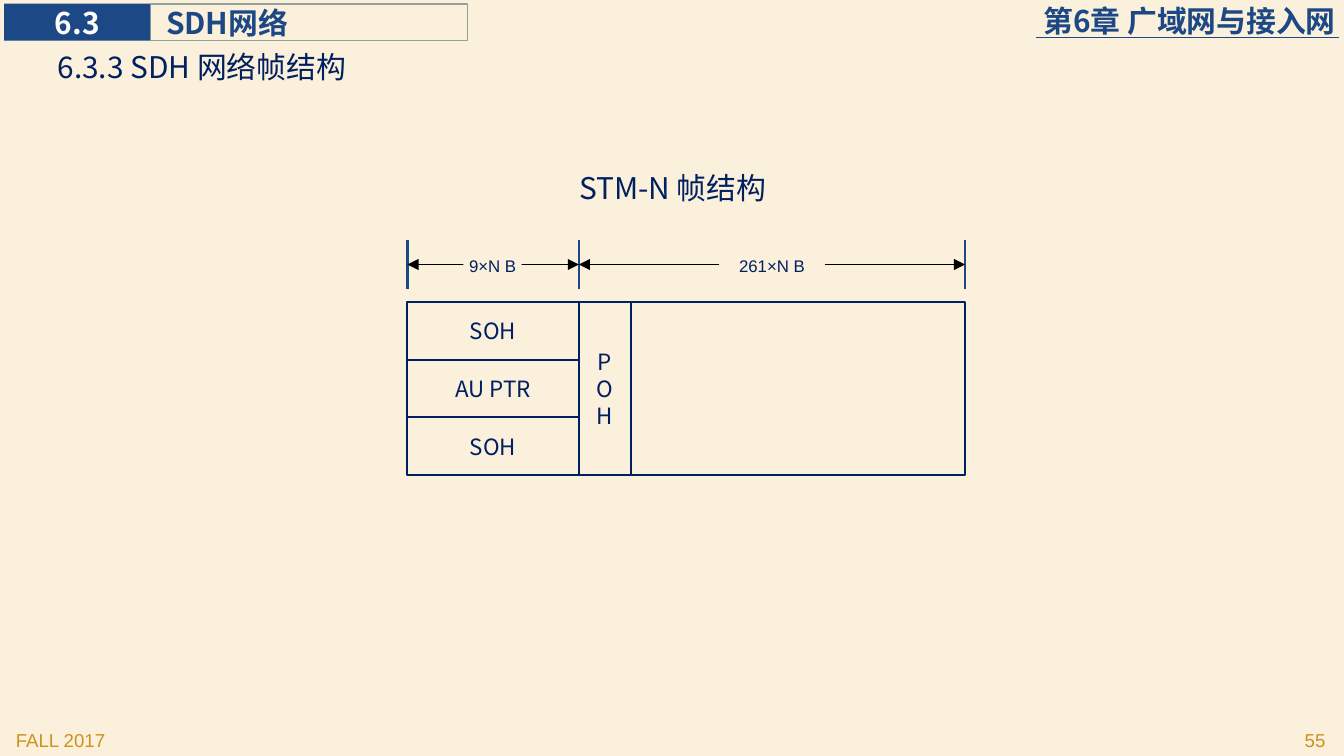
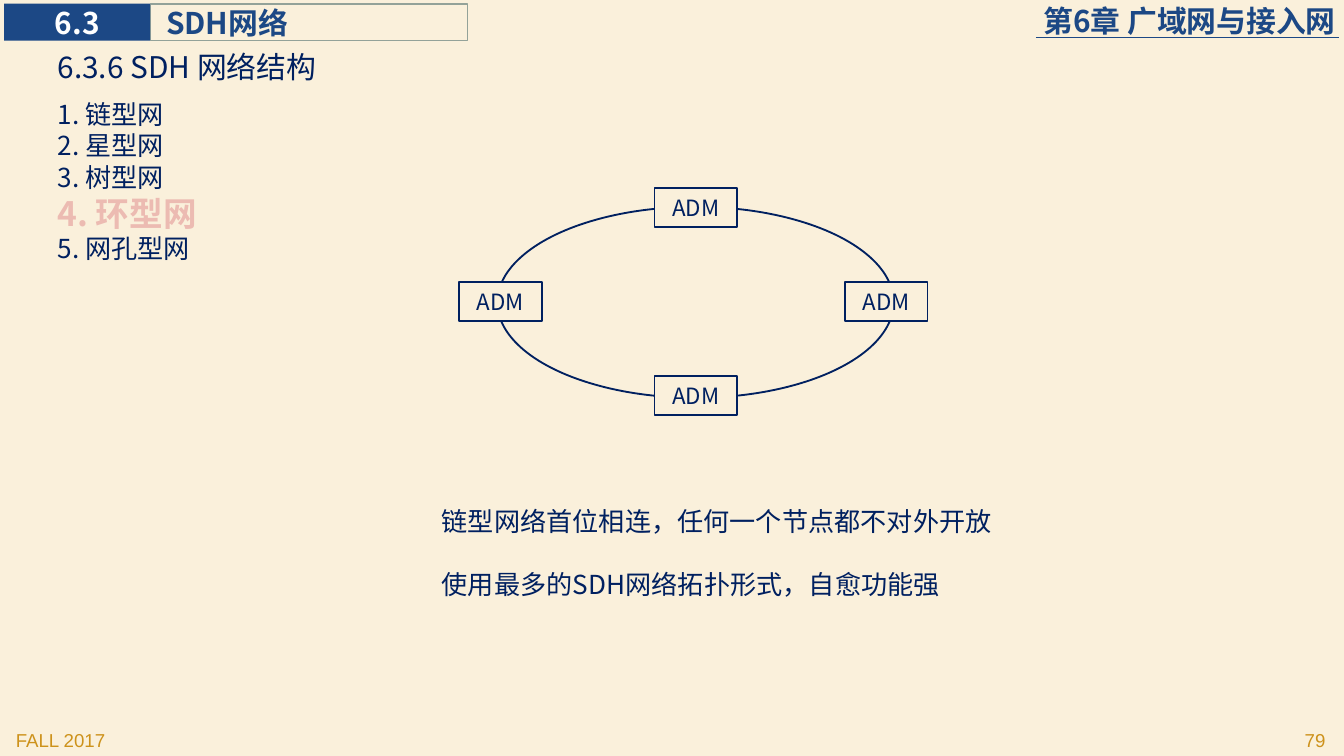
from dataclasses import dataclass

import pptx
import pptx.dml.color
import pptx.enum.shapes
import pptx.enum.text
import pptx.oxml
import pptx.oxml.ns
import pptx.util
from pptx.util import Cm

CJK, LATIN = "Noto Sans CJK SC", "Arial"
CREAM, NAVY, BLUE = "FAF0DB", "002060", "1C4885"
GOLD, SAGE, WHITE, BLACK = "CD921B", "93A299", "FFFFFF", "000000"
PINK, RED = "ECBBB2", "CF543F"

SHAPE = pptx.enum.shapes.MSO_SHAPE
ALIGN = pptx.enum.text.PP_ALIGN
ANCHOR = pptx.enum.text.MSO_ANCHOR
LEFT, CENTER, RIGHT = ALIGN.LEFT, ALIGN.CENTER, ALIGN.RIGHT
DEFAULT_INSETS = (0.25, 0.13, 0.25, 0.13)
NO_INSETS = (0, 0, 0, 0)


@dataclass(frozen=True)
class Style:
    size: float = 16
    color: str = NAVY
    font: str = CJK
    bold: bool = False
    align: ALIGN = LEFT
    before: float = 0


@dataclass(frozen=True)
class Box:
    """A rectangle in centimetres."""
    x: float
    y: float
    w: float
    h: float


HEADER = Style(color=BLUE, bold=True)
CELL = Style(12, align=CENTER)
DIMENSION = Style(9, font=LATIN, align=CENTER)
FOOTER = Style(10, GOLD, LATIN)
BODY = Style(14)


def rgb(color: str) -> pptx.dml.color.RGBColor:
    return pptx.dml.color.RGBColor.from_string(color)


def format_paragraph(p, text: str, style: Style) -> None:
    p.text = text
    p.alignment = style.align
    if style.before:
        p.space_before = pptx.util.Pt(style.before)
    font = p.font
    font.size = pptx.util.Pt(style.size)
    font.bold = style.bold
    font.color.rgb = rgb(style.color)
    font.name = style.font
    ea = p._p.get_or_add_pPr().get_or_add_defRPr().makeelement(
        pptx.oxml.ns.qn("a:ea"), {"typeface": style.font})
    p._p.pPr.defRPr.append(ea)


def outline_text(p, color: str, width: float) -> None:
    ln = pptx.oxml.parse_xml(
        f'<a:ln {pptx.oxml.ns.nsdecls("a")} w="{int(pptx.util.Pt(width))}">'
        f'<a:solidFill><a:srgbClr val="{color}"/></a:solidFill></a:ln>')
    p._p.pPr.defRPr.insert(0, ln)


def write(s, lines: list[tuple[str, Style]], anchor=ANCHOR.TOP,
          insets=DEFAULT_INSETS, wrap: bool = True) -> None:
    tf = s.text_frame
    tf.auto_size = pptx.enum.text.MSO_AUTO_SIZE.NONE
    tf.word_wrap = wrap
    tf.vertical_anchor = anchor
    tf.margin_left, tf.margin_top, tf.margin_right, tf.margin_bottom = map(Cm, insets)
    for i, (text, style) in enumerate(lines):
        p = tf.paragraphs[0] if i == 0 else tf.add_paragraph()
        format_paragraph(p, text, style)


def place(s, box: Box) -> None:
    s.left, s.top, s.width, s.height = map(Cm, (box.x, box.y, box.w, box.h))


def add_text(slide, box: Box, lines: list[tuple[str, Style]], **options):
    s = slide.shapes.add_textbox(*map(Cm, (box.x, box.y, box.w, box.h)))
    write(s, lines, **options)
    return s


def add_block(slide, box: Box, text: str = "", style: Style = CELL, fill: str = "",
              line: str = NAVY, width: float = 1, kind=SHAPE.RECTANGLE, **options) -> None:
    """Add a preset shape; an empty colour means no fill or no line."""
    s = slide.shapes.add_shape(kind, *map(Cm, (box.x, box.y, box.w, box.h)))
    s.shadow.inherit = False
    if fill:
        s.fill.solid()
        s.fill.fore_color.rgb = rgb(fill)
    else:
        s.fill.background()
    if line:
        s.line.color.rgb = rgb(line)
        s.line.width = pptx.util.Pt(width)
    else:
        s.line.fill.background()
    if text:
        write(s, [(text, style)], anchor=ANCHOR.MIDDLE, **options)


def add_line(slide, x1: float, y1: float, x2: float, y2: float,
             color: str, width: float, arrows: bool = False) -> None:
    s = slide.shapes.add_connector(
        pptx.enum.shapes.MSO_CONNECTOR.STRAIGHT, *map(Cm, (x1, y1, x2, y2)))
    s.line.color.rgb = rgb(color)
    s.line.width = pptx.util.Pt(width)
    qn = pptx.oxml.ns.qn
    if arrows:
        ln = s.line._get_or_add_ln()
        for end in ("a:headEnd", "a:tailEnd"):
            ln.append(ln.makeelement(qn(end), {"type": "triangle"}))
    sp_pr = s._element.spPr
    sp_pr.append(sp_pr.makeelement(qn("a:effectLst"), {}))


def add_section_slide(prs, title: str, number: int):
    """Add a slide with the chapter header, section tab, footers and title."""
    slide = prs.slides.add_slide(prs.slide_layouts[5])
    add_text(slide, Box(15.7, 0.05, 9.55, 0.69),
             [("第6章 广域网与接入网", Style(color=BLUE, bold=True, align=RIGHT))],
             anchor=ANCHOR.MIDDLE, insets=NO_INSETS)
    add_line(slide, 19.58, 0.71, 25.3, 0.71, BLUE, 0.5)
    add_text(slide, Box(0.05, 13.64, 5.28, 0.58), [("FALL 2017", FOOTER)])
    add_text(slide, Box(20.02, 13.64, 5.28, 0.58),
             [(str(number), Style(10, GOLD, LATIN, align=RIGHT))])
    add_block(slide, Box(2.84, 0.08, 6, 0.69), "SDH网络", HEADER,
              line=SAGE, width=0.75, insets=(0.3, 0, 0, 0))
    add_block(slide, Box(0.08, 0.07, 2.76, 0.7), "6.3",
              Style(color=WHITE, bold=True, align=CENTER),
              fill=BLUE, line="", insets=NO_INSETS, wrap=False)
    s = slide.shapes.title
    place(s, Box(0.84, 0.79, 12.95, 0.94))
    write(s, [(title, Style())])
    return slide


def build_frame_slide(prs) -> None:
    slide = add_section_slide(prs, "6.3.3 SDH 网络帧结构", 55)
    add_text(slide, Box(6.68, 3.07, 12.07, 0.94),
             [("STM-N 帧结构", Style(align=CENTER))])

    left, poh, payload, right = 7.7, 10.94, 11.92, 18.24
    top, row = 5.71, 1.09
    add_block(slide, Box(payload, top, right - payload, 3 * row))
    for i, label in enumerate(("SOH", "AU PTR", "SOH")):
        add_block(slide, Box(left, top + i * row, poh - left, row), label)
    add_block(slide, Box(poh, top, payload - poh, 3 * row), "POH")

    for x in (left, poh, right):
        add_line(slide, x, 4.54, x, 5.46, BLUE, 1.25)
    for start, end in ((poh, right), (left, poh)):
        add_line(slide, start, 5, end, 5, BLACK, 0.75, arrows=True)
    for x, width, label in ((8.76, 1.1, "9×N B"), (13.59, 2, "261×N B")):
        add_block(slide, Box(x, 4.7, width, 0.64), label, DIMENSION,
                  fill=CREAM, line="", insets=(0, 0.13, 0, 0.13))


def build_ring_slide(prs) -> None:
    slide = add_section_slide(prs, "6.3.6 SDH 网络结构", 79)
    current = Style(18, PINK, bold=True)
    s = add_text(slide, Box(0.84, 1.73, 5.08, 3.43), [
        ("1. 链型网", BODY),
        ("2. 星型网", BODY),
        ("3. 树型网", BODY),
        ("4. 环型网", current),
        ("5. 网孔型网", BODY),
    ])
    outline_text(s.text_frame.paragraphs[3], RED, 1.75)

    add_block(slide, Box(9.4, 3.91, 7.49, 3.61), kind=SHAPE.OVAL)
    node_w, node_h = 1.56, 0.74
    for x, y in ((13.15, 3.93), (16.75, 5.7), (13.15, 7.48), (9.46, 5.7)):
        add_block(slide, Box(x - node_w / 2, y - node_h / 2, node_w, node_h),
                  "ADM", fill=CREAM)

    add_text(slide, Box(8.1, 9.42, 11.99, 2.06), [
        ("链型网络首位相连，任何一个节点都不对外开放", BODY),
        ("使用最多的SDH网络拓扑形式，自愈功能强", Style(14, before=17)),
    ])


def main() -> None:
    prs = pptx.Presentation()
    prs.slide_width, prs.slide_height = Cm(25.4), Cm(14.29)
    background = prs.slide_master.background.fill
    background.solid()
    background.fore_color.rgb = rgb(CREAM)
    build_frame_slide(prs)
    build_ring_slide(prs)
    prs.save("out.pptx")


if __name__ == "__main__":
    main()
